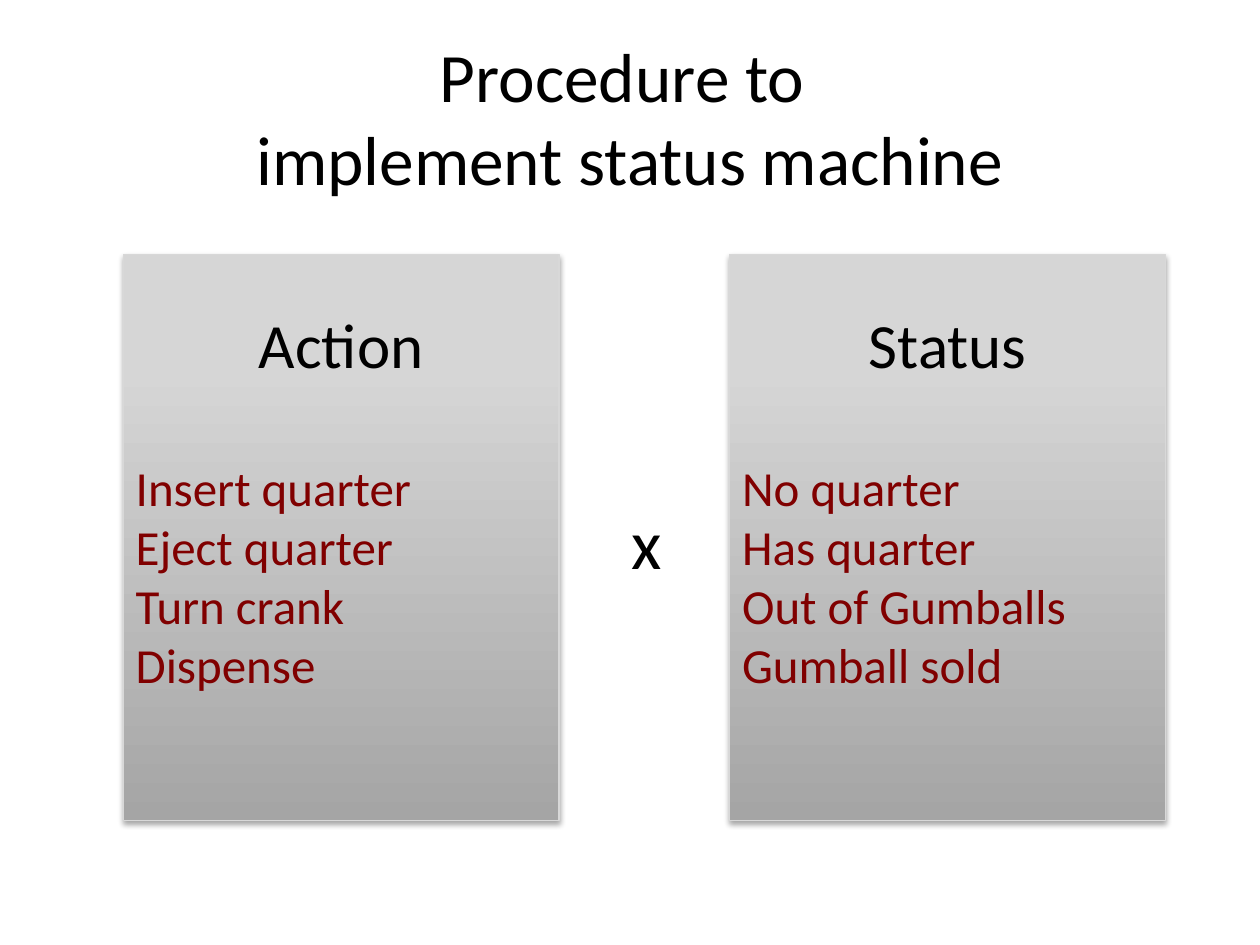
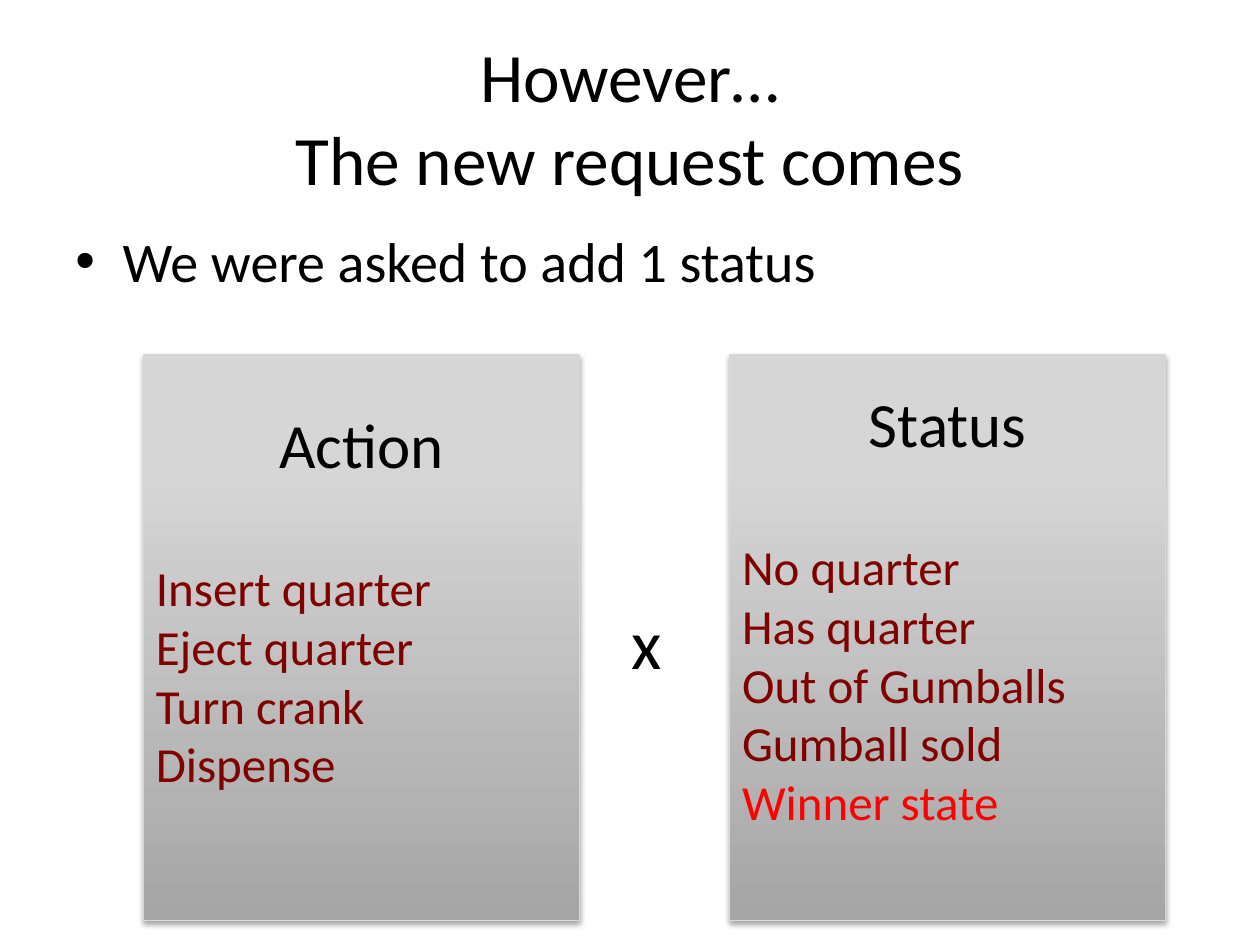
"""Build two slides that cross a gumball machine's actions with its statuses."""
from copy import deepcopy

from pptx import Presentation
from pptx.dml.color import RGBColor
from pptx.enum.shapes import MSO_SHAPE
from pptx.enum.text import MSO_ANCHOR, MSO_AUTO_SIZE, PP_ALIGN
from pptx.oxml import parse_xml
from pptx.oxml.ns import nsdecls, qn
from pptx.util import Pt

RECTANGLE = MSO_SHAPE.RECTANGLE
MIDDLE = MSO_ANCHOR.MIDDLE
NO_FIT = MSO_AUTO_SIZE.NONE
CENTER, LEFT = PP_ALIGN.CENTER, PP_ALIGN.LEFT

BLACK = RGBColor(0x00, 0x00, 0x00)
MAROON = RGBColor(0x80, 0x00, 0x00)
RED = RGBColor(0xFF, 0x00, 0x00)
EDGE_GREY = RGBColor(0xD8, 0xD8, 0xD8)
PANEL_STOPS = (
    (0, RGBColor(0xA5, 0xA5, 0xA5)),
    (0.8, RGBColor(0xD6, 0xD6, 0xD6)),
    (1, RGBColor(0xD7, 0xD7, 0xD7)),
)

FONT = "Calibri"
PANEL_WIDTH, PANEL_HEIGHT = 249, 323.5
STATUS_LEFT = 417
HEADING_GAP = 43.5
INSET = 3.6

ACTIONS = ["Insert quarter", "Eject quarter", "Turn crank", "Dispense"]
STATUSES = ["No quarter", "Has quarter", "Out of Gumballs", "Gumball sold"]
NEW_STATUS = "Winner state"


def style(paragraph, size, color=BLACK, align=LEFT):
    """Format a paragraph and all its runs."""
    paragraph.alignment = align
    for run in paragraph.runs:
        run.font.name = FONT
        run.font.size = Pt(size)
        run.font.color.rgb = color


def add_titled_slide(deck, heading):
    """Add a title-only slide with the shared title style."""
    slide = deck.slides.add_slide(deck.slide_layouts[5])
    title = slide.shapes.title
    title.left, title.top, title.width, title.height = Pt(36), Pt(21.6), Pt(648), Pt(90)
    frame = title.text_frame
    frame.text = heading
    frame.auto_size = NO_FIT
    frame.vertical_anchor = MIDDLE
    style(frame.paragraphs[0], 39.6, align=CENTER)
    return slide


def add_label(slide, left, top, width, height, wording, size):
    """Add a plain text box and return its paragraph."""
    label = slide.shapes.add_textbox(Pt(left), Pt(top), Pt(width), Pt(height))
    label.text_frame.word_wrap = True
    label.text_frame.text = wording
    paragraph = label.text_frame.paragraphs[0]
    style(paragraph, size)
    return paragraph


def add_bullet(paragraph, indent):
    """Give a paragraph a round bullet with a hanging indent."""
    properties = paragraph._p.get_or_add_pPr()
    properties.set("marL", str(Pt(indent)))
    properties.set("indent", str(Pt(-indent)))
    properties.append(parse_xml(f'<a:buFont {nsdecls("a")} typeface="Arial"/>'))
    properties.append(parse_xml(f'<a:buChar {nsdecls("a")} char="•"/>'))


def paint_panel(panel):
    """Apply the grey gradient, thin edge and soft shadow of a panel."""
    panel.fill.gradient()
    panel.fill.gradient_angle = 90
    properties = panel._element.spPr
    stop_list = properties.find(qn("a:gradFill")).find(qn("a:gsLst"))
    stop_list.append(deepcopy(stop_list[0]))
    for stop, (position, color) in zip(panel.fill.gradient_stops, PANEL_STOPS):
        stop.position = position
        stop.color.rgb = color
    panel.line.color.rgb = EDGE_GREY
    panel.line.width = Pt(0.75)
    panel.shadow.inherit = False
    properties.find(qn("a:effectLst")).append(parse_xml(
        f'<a:outerShdw {nsdecls("a")} blurRad="{Pt(3.1)}" dist="{Pt(1.8)}" '
        'dir="5400000" rotWithShape="0"><a:srgbClr val="000000">'
        '<a:alpha val="35000"/></a:srgbClr></a:outerShdw>'))


def add_panel(slide, left, top, heading, items, space_below=HEADING_GAP):
    """Add a panel with a centred heading above a list of items."""
    panel = slide.shapes.add_shape(
        RECTANGLE, Pt(left), Pt(top), Pt(PANEL_WIDTH), Pt(PANEL_HEIGHT))
    paint_panel(panel)
    frame = panel.text_frame
    frame.word_wrap = True
    frame.vertical_anchor = MIDDLE
    frame.margin_bottom = Pt(INSET + space_below)
    frame.text = "\n".join([heading, *items])
    title, *entries = frame.paragraphs
    style(title, 36, align=CENTER)
    entries[0].space_before = Pt(HEADING_GAP)
    for entry in entries:
        style(entry, 28, RED if entry.text == NEW_STATUS else MAROON)


def add_product(slide, top, action_left, statuses, space_below=HEADING_GAP):
    """Add the status and action panels with a times sign between them."""
    add_panel(slide, STATUS_LEFT, top, "Status", statuses, space_below)
    add_panel(slide, action_left, top, "Action", ACTIONS)
    add_label(slide, 354, top + 136.5, 57, 55.5, "x", 40)


def main():
    """Build and save the deck."""
    deck = Presentation()
    deck.slide_width, deck.slide_height = Pt(720), Pt(540)

    procedure = add_titled_slide(deck, "Procedure to \vimplement status machine")
    add_product(procedure, 145.5, 70.5, STATUSES)

    request = add_titled_slide(deck, "However…\vThe new request comes")
    demand = add_label(request, 36, 126, 648, 356.5, "We were asked to add 1 status", 32)
    add_bullet(demand, 27)
    add_product(request, 202.5, 82, STATUSES + [NEW_STATUS], space_below=34)

    deck.save("out.pptx")


if __name__ == "__main__":
    main()
